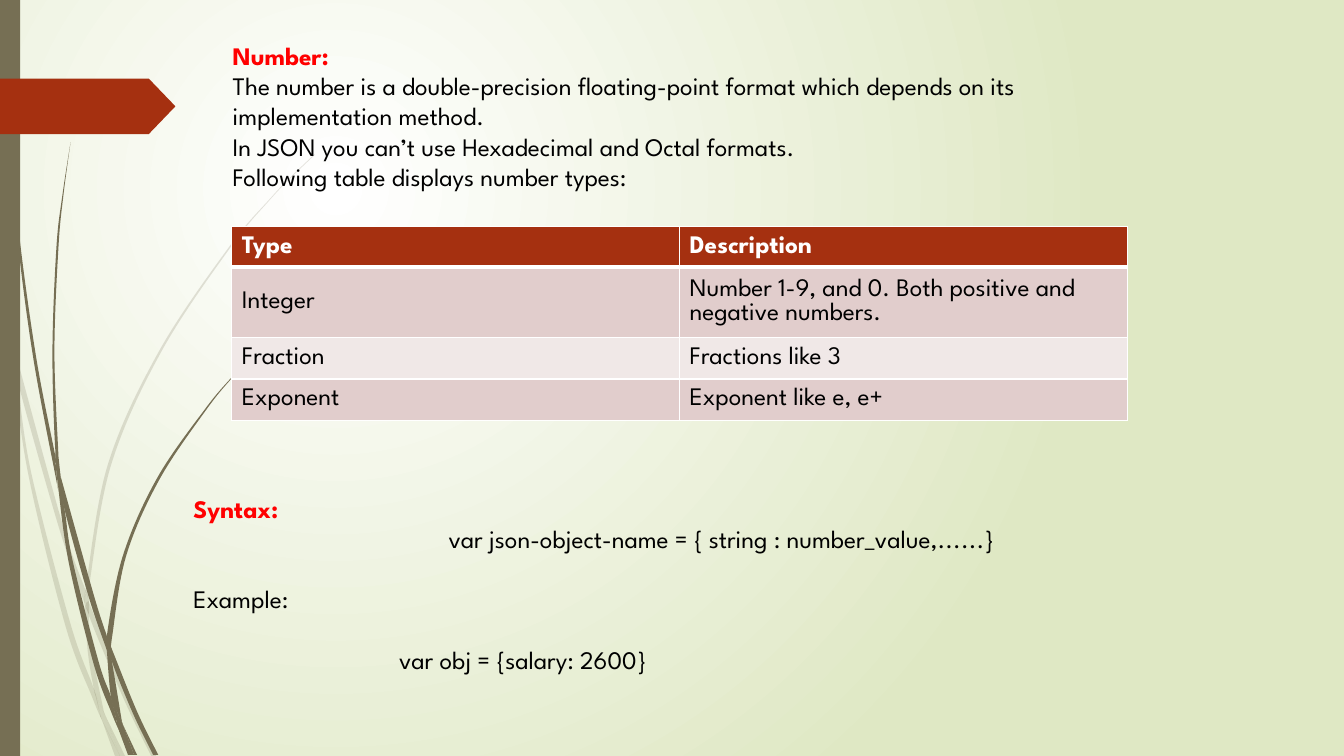
import pptx
import pptx.dml.color
import pptx.enum.shapes
import pptx.enum.text
import pptx.oxml
import pptx.oxml.ns
import pptx.util
from lxml import etree

Inches = pptx.util.Inches
Pt = pptx.util.Pt
qn = pptx.oxml.ns.qn

FONT = "League Spartan"
OLIVE, RUST, RED, BLACK, WHITE = "766F54", "A53010", "FF0000", "000000", "FFFFFF"
BAND_DARK, BAND_LIGHT = "E1CDCC", "F0E8E7"
LINE_PITCH = 21.6

# Grass blade pieces: edge running down, edge running back up, in inches
PALE_GRASS = [
    ([(0, 2.82), (0, 2.99), (0.1, 3.44), (0.11, 3.5)], [(0.09, 3.22), (0, 2.82)]),
    ([(0.14, 3.45), (0.17, 3.76), (0.58, 5.22), (0.84, 5.99)],
     [(0.85, 5.86), (0.62, 5.2), (0.14, 3.45)]),
    ([(0.88, 5.96), (0.88, 6.1), (1.23, 6.94), (1.5, 7.5)],
     [(1.55, 7.5), (1.27, 6.92), (0.92, 6.07), (0.88, 5.96)]),
    ([(1.05, 7.11), (1.19, 7.5)], [(1.24, 7.5), (1.05, 7.11)]),
    ([(0.11, 3.5), (0.28, 4.7), (0.65, 6.21), (0.92, 6.93), (1.01, 7.14)],
     [(0.99, 7.07), (0.93, 6.83), (0.7, 6.19), (0.31, 4.69), (0.17, 3.76), (0.11, 3.5)]),
    ([(0.84, 5.99), (0.87, 6.46), (0.93, 6.83), (0.96, 6.92), (1.05, 7.11)],
     [(1.03, 7.06), (0.91, 6.46), (0.88, 6.1), (0.88, 6.08), (0.84, 5.99)]),
    ([(3.12, 1.53), (2.89, 1.75), (2.68, 1.97), (2.28, 2.44), (1.58, 3.48), (1.07, 4.61),
      (0.85, 5.84), (0.85, 5.86), (0.88, 5.96)],
     [(0.88, 5.84), (1.1, 4.62), (1.6, 3.49), (2.29, 2.45), (2.68, 1.98), (2.9, 1.75),
      (3.12, 1.54)]),
    ([(1.01, 7.14), (1.14, 7.5)], [(1.19, 7.5), (1.01, 7.14)]),
    ([(0.85, 5.86), (0.84, 5.99), (0.88, 6.08)], [(0.88, 6.1), (0.88, 5.96), (0.85, 5.86)]),
    ([(0.93, 6.83), (0.99, 7.07), (1.01, 7.14), (1.19, 7.5)],
     [(1.05, 7.11), (0.96, 6.92), (0.93, 6.83)]),
]
DARK_GRASS = [
    ([(0.03, 0), (0.04, 0.48), (0.07, 1.1), (0.17, 2.33), (0.33, 3.55), (0.56, 4.77),
      (0.57, 4.81)],
     [(0.55, 4.57), (0.55, 4.53), (0.36, 3.55), (0.19, 2.32), (0.08, 1.09), (0.05, 0.48),
      (0.04, 0)]),
    ([(0.6, 4.72), (0.64, 5.05), (0.88, 5.92), (1.06, 6.45)],
     [(1.06, 6.33), (1.06, 6.31), (0.93, 5.9), (0.6, 4.72)]),
    ([(1.1, 6.41), (1.11, 6.56), (1.32, 7.08), (1.52, 7.49)],
     [(1.57, 7.49), (1.36, 7.06), (1.13, 6.49), (1.1, 6.41)]),
    ([(0.57, 4.77), (0.68, 5.57), (0.93, 6.59), (1.11, 7.08), (1.17, 7.22)],
     [(1.16, 7.17), (1.1, 6.91), (0.98, 6.57), (0.72, 5.56), (0.64, 5.05), (0.57, 4.77)]),
    ([(0.7, 1.41), (0.62, 1.93), (0.56, 2.45), (0.52, 3.49), (0.55, 4.49), (0.6, 4.72)],
     [(0.58, 4.53), (0.54, 3.49), (0.58, 2.45), (0.63, 1.93), (0.7, 1.41)]),
    ([(1.22, 7.19), (1.33, 7.49)], [(1.36, 7.49), (1.22, 7.19)]),
    ([(0.55, 4.49), (0.55, 4.53), (0.57, 4.77), (0.64, 5.05)],
     [(0.6, 4.72), (0.55, 4.49)]),
    ([(2.6, 3.44), (2.45, 3.58), (2.31, 3.73), (2.04, 4.05), (1.56, 4.74), (1.22, 5.51),
      (1.06, 6.31), (1.1, 6.41)],
     [(1.11, 6.33), (1.25, 5.52), (1.58, 4.76), (2.05, 4.06), (2.31, 3.74), (2.45, 3.59),
      (2.61, 3.44)]),
    ([(1.17, 7.22), (1.27, 7.49)], [(1.31, 7.49), (1.17, 7.22)]),
    ([(1.06, 6.45), (1.1, 6.91), (1.16, 7.06), (1.22, 7.19)],
     [(1.21, 7.16), (1.11, 6.56), (1.09, 6.51), (1.06, 6.45)]),
    ([(1.06, 6.31), (1.06, 6.45), (1.11, 6.56)], [(1.1, 6.41), (1.06, 6.31)]),
    ([(1.1, 6.91), (1.16, 7.17), (1.17, 7.22), (1.3, 7.49)],
     [(1.33, 7.49), (1.22, 7.19), (1.16, 7.06), (1.1, 6.91)]),
]


def color(hex_string):
    return pptx.dml.color.RGBColor.from_string(hex_string)


def bend(segments, edges):
    """Turn the straight segments along each edge into smooth cubic curves."""
    knots = [(int(s[0].get("x")), int(s[0].get("y"))) for s in segments]
    start = 0
    for edge in edges:
        end = start + len(edge) - 1
        for i in range(start, end):
            before, here, there, after = (
                knots[max(start, min(end, n))] for n in (i - 1, i, i + 1, i + 2))
            segment = segments[i + 1]
            segment.tag = qn("a:cubicBezTo")
            for index, (anchor, a, b) in enumerate(((here, before, there),
                                                    (there, after, here))):
                x, y = (str(round(k + (q - p) / 6)) for k, p, q in zip(anchor, a, b))
                segment.insert(index, etree.Element(qn("a:pt"), x=x, y=y))
        start = end + 1


class SlideBuilder:
    def __init__(self, slide):
        self.slide = slide
        self.shapes = slide.shapes

    def background(self, inner, outer):
        fill = self.slide.background.fill
        fill.gradient()
        for stop, position, hex_string in zip(fill.gradient_stops, (0, 1), (inner, outer)):
            stop.position = position
            stop.color.rgb = color(hex_string)
        gradient = self.slide.element.find(".//" + qn("a:gradFill"))
        gradient.remove(gradient.find(qn("a:lin")))
        circle = etree.SubElement(gradient, qn("a:path"), path="circle")
        etree.SubElement(circle, qn("a:fillToRect"),
                         l="50000", t="50000", r="100000", b="100000")

    def paint(self, shape, hex_string, opacity=100):
        shape.shadow.inherit = False
        shape.fill.solid()
        shape.fill.fore_color.rgb = color(hex_string)
        shape.line.fill.background()
        if opacity < 100:
            solid = shape.fill._xPr.find(qn("a:solidFill"))
            etree.SubElement(solid[0], qn("a:alpha"), val=str(opacity * 1000))

    def preset(self, kind, left, top, width, height, hex_string):
        shape = self.shapes.add_shape(kind, *map(Inches, (left, top, width, height)))
        self.paint(shape, hex_string)
        return shape

    def blade(self, edges, opacity):
        outline = [(Inches(x), Inches(y)) for edge in edges for x, y in edge]
        builder = self.shapes.build_freeform(*outline[0])
        builder.add_line_segments(outline[1:], close=True)
        shape = builder.convert_to_shape()
        drawn = shape.element.find(".//" + qn("a:path"))
        bend([segment for segment in drawn if len(segment)], edges)
        self.paint(shape, OLIVE, opacity)

    def style(self, paragraph, hex_string, bold=False):
        paragraph.font.name = FONT
        paragraph.font.size = Pt(18)
        paragraph.font.bold = bold
        paragraph.font.color.rgb = color(hex_string)

    def text(self, left, top, width, height, heading, lines):
        """Each line is (text, indent in inches, lines of space before)."""
        frame = self.shapes.add_textbox(*map(Inches, (left, top, width, height))).text_frame
        frame.word_wrap = True
        frame.auto_size = pptx.enum.text.MSO_AUTO_SIZE.SHAPE_TO_FIT_TEXT
        for i, (words, indent, gap) in enumerate([(heading, 0, 0), *lines]):
            paragraph = frame.add_paragraph() if i else frame.paragraphs[0]
            paragraph.text = words
            paragraph.line_spacing = Pt(LINE_PITCH)
            paragraph.space_before = Pt(gap * LINE_PITCH)
            paragraph._p.get_or_add_pPr().set("marL", str(Inches(indent)))
            self.style(paragraph, BLACK if i else RED, bold=i == 0)

    def borders(self, cell, bottom):
        properties = cell._tc.get_or_add_tcPr()
        for index, (side, points) in enumerate(
                (("lnL", 1), ("lnR", 1), ("lnT", 1), ("lnB", bottom))):
            line = etree.Element(qn("a:" + side), w=str(Pt(points)))
            solid = etree.SubElement(line, qn("a:solidFill"))
            etree.SubElement(solid, qn("a:srgbClr"), val=WHITE)
            properties.insert(index, line)

    def table(self, left, top, column_width, row_heights, rows):
        size = (column_width * len(rows[0]), sum(row_heights))
        table = self.shapes.add_table(len(rows), len(rows[0]),
                                      *map(Inches, (left, top, *size))).table
        for column in table.columns:
            column.width = Inches(column_width)
        for r, (height, words) in enumerate(zip(row_heights, rows)):
            table.rows[r].height = Inches(height)
            header = r == 0
            band = RUST if header else BAND_DARK if r % 2 else BAND_LIGHT
            for c, word in enumerate(words):
                cell = table.cell(r, c)
                cell.text = word
                cell.vertical_anchor = pptx.enum.text.MSO_ANCHOR.MIDDLE
                cell.fill.solid()
                cell.fill.fore_color.rgb = color(band)
                self.borders(cell, bottom=3 if header else 1)
                self.style(cell.text_frame.paragraphs[0], WHITE if header else BLACK, header)


def main():
    deck = pptx.Presentation()
    deck.slide_width, deck.slide_height = Inches(13.33), Inches(7.5)
    page = SlideBuilder(deck.slides.add_slide(deck.slide_layouts[6]))
    preset = pptx.enum.shapes.MSO_SHAPE
    # Backdrop and side decoration
    page.background(WHITE, "DFE8C4")
    for grass, opacity in ((PALE_GRASS, 20), (DARK_GRASS, 100)):
        for edges in grass:
            page.blade(edges, opacity)
    page.preset(preset.RECTANGLE, 0, 0, 0.2, 7.5, OLIVE)
    marker = page.preset(preset.PENTAGON, 0, 0.78, 1.74, 0.55, RUST)
    marker.adjustments[0] = 0.48
    # Number introduction
    page.text(2.21, 0.35, 8.75, 1.62, "Number:", [
        ("The number is a double-precision floating-point format which depends on its "
         "implementation method.", 0, 0),
        ("In JSON you can’t use Hexadecimal and Octal formats.", 0, 0),
        ("Following table displays number types:", 0, 0)])
    # Number types
    page.table(2.3, 2.25, 4.44, [0.4, 0.69, 0.41, 0.41], [
        ("Type", "Description"),
        ("Integer", "Number 1-9, and 0. Both positive and negative numbers."),
        ("Fraction", "Fractions like 3"),
        ("Exponent", "Exponent like e, e+")])
    # Syntax and example
    page.text(1.82, 4.84, 11.29, 1.92, "Syntax:", [
        ("var json-object-name = { string : number_value,......}", 2.53, 0),
        ("Example:", 0, 1),
        ("var obj = {salary: 2600}", 2.04, 1)])
    deck.save("out.pptx")


if __name__ == "__main__":
    main()
